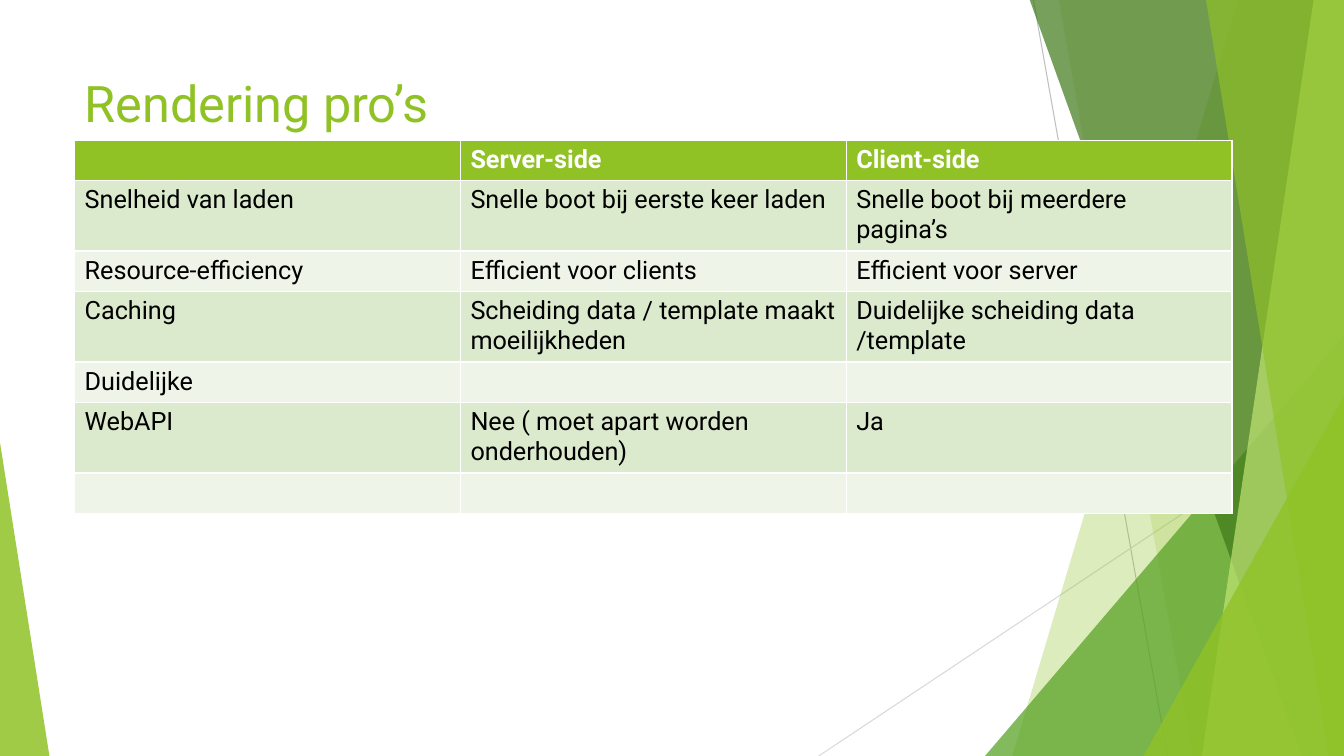
"""Build the slide that compares server-side and client-side rendering."""
from lxml.etree import SubElement
from pptx import Presentation
from pptx.dml.color import RGBColor
from pptx.enum.shapes import MSO_CONNECTOR as Link, MSO_SHAPE as Kind
from pptx.enum.text import MSO_ANCHOR as Anchor
from pptx.oxml.ns import qn
from pptx.util import Inches, Pt

WIDE, HIGH = 13.33, 7.5
TITLE = "Rendering pro’s"
ROWS = [
    ("", "Server-side", "Client-side"),
    ("Snelheid van laden", "Snelle boot bij eerste keer laden",
     "Snelle boot bij meerdere pagina’s"),
    ("Resource-efficiency", "Efficient voor clients", "Efficient voor server"),
    ("Caching", "Scheiding data / template maakt moeilijkheden",
     "Duidelijke scheiding data /template"),
    ("Duidelijke", "", ""),
    ("WebAPI", "Nee ( moet apart worden onderhouden)", "Ja"),
    ("", "", ""),
]
GREEN = "90C226"
BANDS = ["EEF4E8", "DBE9CD"]
RAYS = [(10.25, 0, 11.58, HIGH, "BFBFBF"), (WIDE, 4.03, 8.12, HIGH, "D9D9D9")]
DECOR = [
    ("strip", 12.28, 10.04, GREEN, 30),
    ("strip", 10.5, 11.83, GREEN, 20),
    ("wedge", 9.77, 3.33, 3.56, 1, "54A021", 72),
    ("strip", 10.21, 12.91, "3F7819", 70),
    ("strip", 13.03, 11.92, "C0E474", 70),
    ("strip", 11.96, 13.18, GREEN, 65),
    ("wedge", 11.34, 3.93, 1.99, 1, GREEN, 80),
    ("wedge", 0, 4.39, 0.49, 0, GREEN, 85),
]


def paint(fmt, color):
    if hasattr(fmt, "solid"):
        fmt.solid()
        fmt = fmt.fore_color
    else:
        fmt = fmt.color
    fmt.rgb = RGBColor.from_string(color)


def style(run, color, **values):
    for name, value in values.items():
        setattr(run.font, name, value)
    paint(run.font, color)


def glaze(shape, color, alpha):
    shape.shadow.inherit = False
    shape.line.fill.background()
    paint(shape.fill, color)
    tone = shape.fill._xPr.find(qn("a:solidFill"))[0]
    SubElement(tone, qn("a:alpha"), val=str(alpha * 1000))


def strip(shapes, top, base):
    pen = shapes.build_freeform(Inches(top), Inches(-0.01))
    ends = [(WIDE, -0.01), (WIDE, HIGH), (base, HIGH)]
    pen.add_line_segments([(Inches(x), Inches(y)) for x, y in ends])
    return pen.convert_to_shape()


def wedge(shapes, left, top, width, apex):
    box = map(Inches, (left, top, width, HIGH - top))
    shape = shapes.add_shape(Kind.ISOSCELES_TRIANGLE, *box)
    shape.adjustments[0] = apex
    return shape


def main():
    deck = Presentation()
    deck.slide_width, deck.slide_height = Inches(WIDE), Inches(HIGH)
    shapes = deck.slides.add_slide(deck.slide_layouts[6]).shapes

    for *ends, color in RAYS:
        ray = shapes.add_connector(Link.STRAIGHT, *map(Inches, ends))
        ray.line.width = Pt(0.75)
        paint(ray.line, color)
        SubElement(ray._element.spPr, qn("a:effectLst"))

    draw = {"strip": strip, "wedge": wedge}
    for kind, *spot, color, alpha in DECOR:
        glaze(draw[kind](shapes, *spot), color, alpha)

    head = shapes.add_textbox(*map(Inches, (0.74, 0.67, 9.4, 1.44))).text_frame
    head.word_wrap, head.vertical_anchor = True, Anchor.TOP
    run = head.paragraphs[0].add_run()
    run.text = TITLE
    style(run, GREEN, name="Roboto", size=Pt(36))

    size = len(ROWS), len(ROWS[0])
    box = map(Inches, (0.74, 1.39, 11.48, 0.4 * len(ROWS)))
    table = shapes.add_table(*size, *box).table
    for r, texts in enumerate(ROWS):
        for c, text in enumerate(texts):
            cell = table.cell(r, c)
            paint(cell.fill, BANDS[r % 2] if r else GREEN)
            if text:
                run = cell.text_frame.paragraphs[0].add_run()
                run.text = text
                style(run, "000000" if r else "FFFFFF",
                      name="Roboto", size=Pt(18), bold=r == 0)

    deck.save("out.pptx")


if __name__ == "__main__":
    main()
